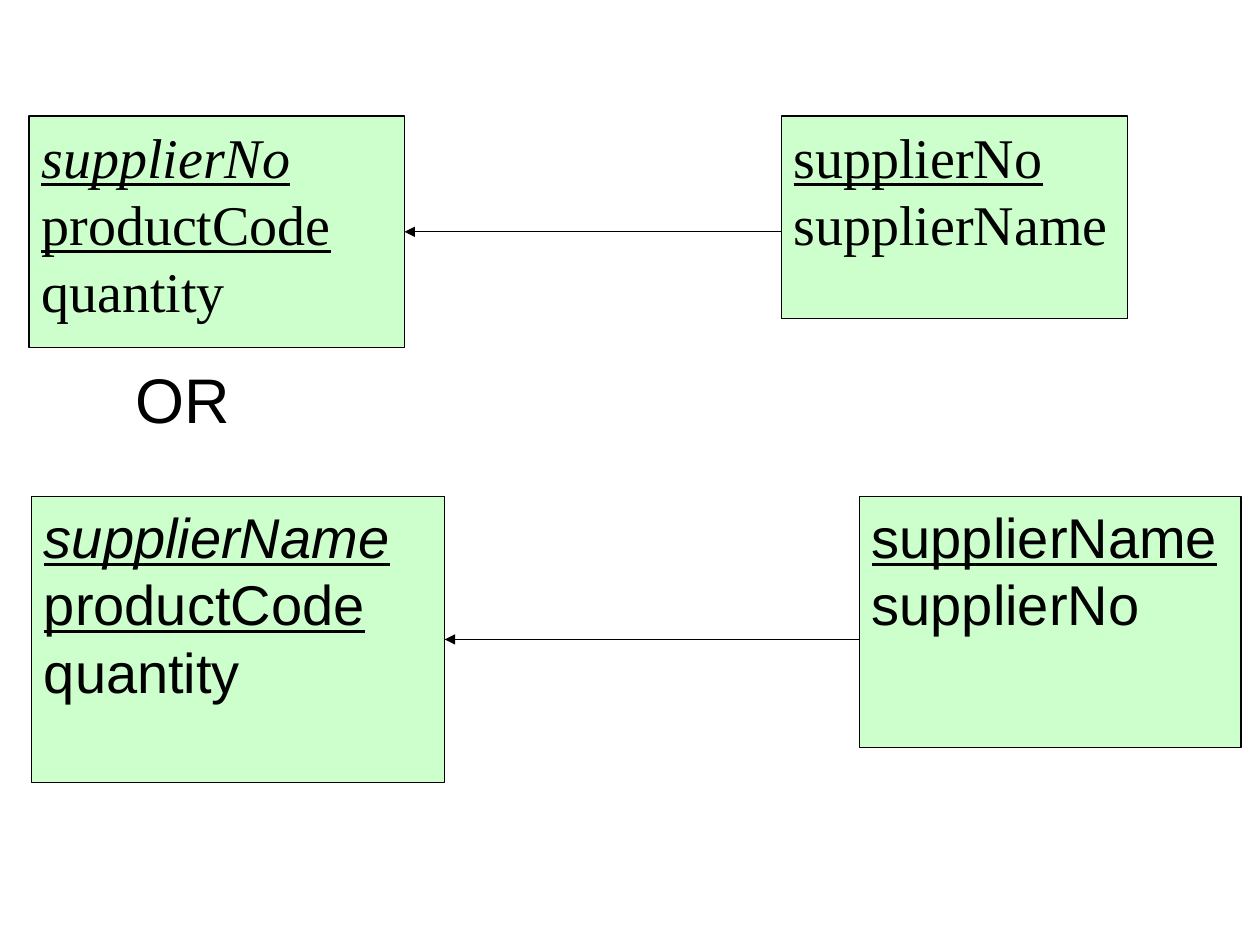
"""Build a slide with two alternative supplier table designs."""
from lxml import etree
from pptx import Presentation
from pptx import util as u
from pptx.dml.color import RGBColor
from pptx.enum import shapes, text
from pptx.oxml.ns import qn

BLACK = RGBColor(0, 0, 0)
MINT = RGBColor(0xCC, 0xFF, 0xCC)
SERIF, SANS = "Times New Roman", "Arial"


def write(paragraph, words, font=SANS, size=32, italic=False, underline=False,
          align=text.PP_ALIGN.LEFT, before=0):
    paragraph.alignment = align
    paragraph.space_before = u.Pt(before)
    run = paragraph.add_run()
    run.text = words
    run.font.name, run.font.size = font, u.Pt(size)
    run.font.italic, run.font.underline = italic, underline
    run.font.color.rgb = BLACK


class Diagram:
    def __init__(self, slide, line_width=0.74):
        self.shapes = slide.shapes
        self.line_width = u.Pt(line_width)

    def outline(self, item):
        item.line.color.rgb = BLACK
        item.line.width = self.line_width

    def entity(self, left, top, width, height, fields, **style):
        box = self.shapes.add_shape(shapes.MSO_SHAPE.RECTANGLE,
                                    *map(u.Inches, (left, top, width, height)))
        box.shadow.inherit = False
        box.fill.solid()
        box.fill.fore_color.rgb = MINT
        self.outline(box)
        frame = box.text_frame
        frame.vertical_anchor = text.MSO_ANCHOR.TOP
        for index, (field, marks) in enumerate(fields):
            paragraph = frame.add_paragraph() if index else frame.paragraphs[0]
            write(paragraph, field, italic="i" in marks,
                  underline="u" in marks, **style)
        return box

    def arrow(self, parent, child):
        middle = child.top + child.height // 2
        link = self.shapes.add_connector(shapes.MSO_CONNECTOR.STRAIGHT, parent.left,
                                         middle, child.left + child.width, middle)
        self.outline(link)
        etree.SubElement(link.line._get_or_add_ln(), qn("a:tailEnd"), type="triangle")
        etree.SubElement(link._element.spPr, qn("a:effectLst"))

    def label(self, left, top, width, height, words, **style):
        frame = self.shapes.add_textbox(
            *map(u.Inches, (left, top, width, height))).text_frame
        frame.word_wrap = True
        frame.auto_size = text.MSO_AUTO_SIZE.SHAPE_TO_FIT_TEXT
        write(frame.paragraphs[0], words, **style)


deck = Presentation()
deck.slide_width, deck.slide_height = u.Inches(10), u.Inches(7.5)
diagram = Diagram(deck.slides.add_slide(deck.slide_layouts[6]))

designs = [
    ((0.23, 0.92, 2.98, 1.84), (6.2, 0.92, 2.75, 1.61), "supplierNo", "supplierName",
     {"font": SERIF, "align": text.PP_ALIGN.JUSTIFY}),
    ((0.25, 3.94, 3.28, 2.27), (6.82, 3.94, 3.03, 1.99), "supplierName", "supplierNo",
     {"font": SANS}),
]
for stock_area, supplier_area, key, detail, style in designs:
    stock = diagram.entity(
        *stock_area, [(key, "iu"), ("productCode", "u"), ("quantity", "")], **style)
    supplier = diagram.entity(*supplier_area, [(key, "u"), (detail, "")], **style)
    diagram.arrow(supplier, stock)

diagram.label(0.98, 2.81, 3.7, 0.7, "OR", size=36, before=22.5)

deck.save("out.pptx")
